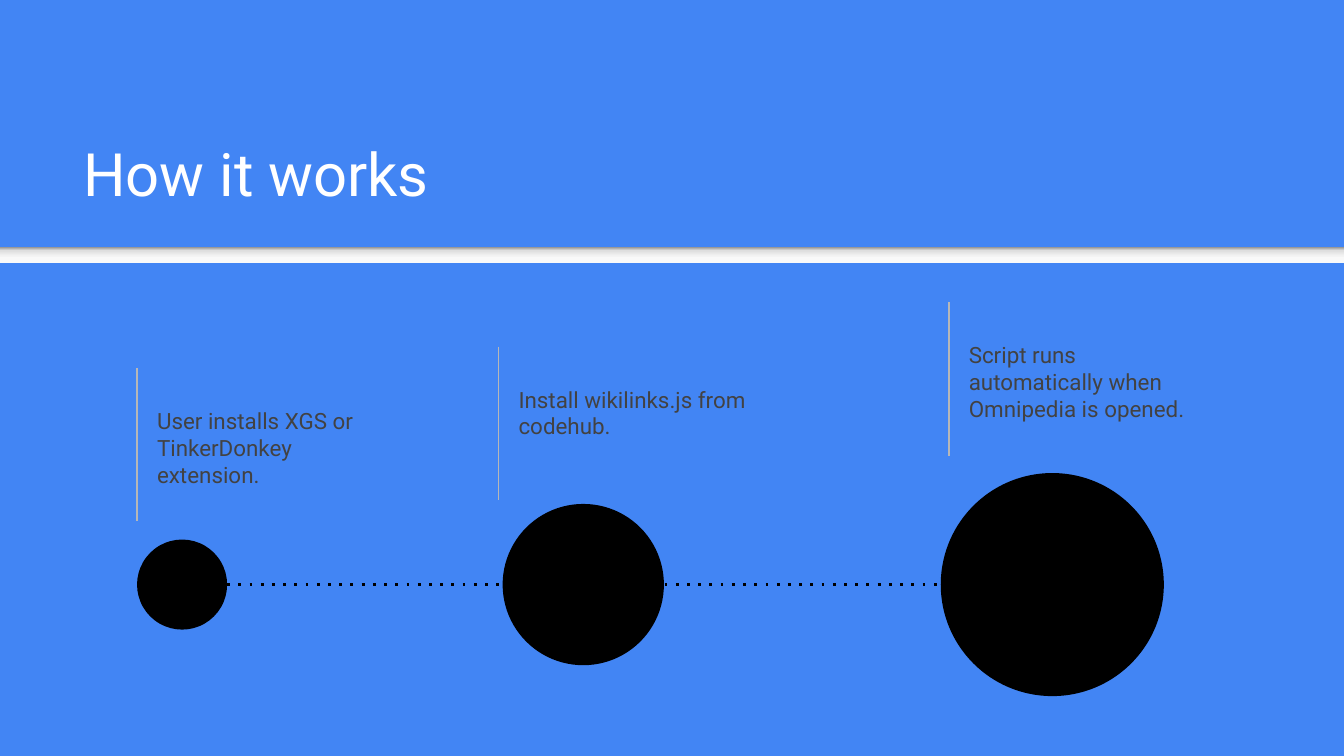
"""Builds the "How it works" slide: three steps as growing circles on a dotted line."""
from lxml.etree import SubElement
from pptx import Presentation
from pptx.dml.color import RGBColor
from pptx.enum.shapes import MSO_CONNECTOR, MSO_SHAPE
from pptx.enum.text import MSO_ANCHOR
from pptx.oxml import parse_xml
from pptx.oxml.ns import nsdecls, qn
from pptx.util import Inches, Pt

BLUE = RGBColor(0x42, 0x85, 0xF4)
WHITE = RGBColor(0xFF, 0xFF, 0xFF)
GREY = RGBColor(0xB7, 0xB7, 0xB7)
DARK = RGBColor(0x42, 0x42, 0x42)
BLACK = RGBColor(0, 0, 0)

TITLE = "How it works"
STEPS = [
    ("User installs XGS or TinkerDonkey extension.", 1.02, 2.74, 1.02, 0.67),
    ("Install wikilinks.js from codehub.", 3.71, 2.58, 3.74, 1.2),
    ("Script runs automatically when Omnipedia is opened.", 7.06, 2.25, 7, 1.66),
]
STOPS = [(0, "F9F9F9"), (36, "F9F9F9"), (80, "DEDEDE"), (100, "999999")]
WIDE = 10
HIGH = WIDE * 9 / 16
AXIS = 4.35
RULE = 1.14


def add_text(slide, text, box, size, color, anchor=MSO_ANCHOR.TOP):
    frame = slide.shapes.add_textbox(*map(Inches, box)).text_frame
    frame.word_wrap = True
    frame.vertical_anchor = anchor
    frame.margin_left = frame.margin_right = Inches(0.1)
    frame.margin_top = frame.margin_bottom = Inches(0.1)
    para = frame.paragraphs[0]
    para.text = text
    para.font.name = "Roboto"
    para.font.size = Pt(size)
    para.font.color.rgb = color


def add_line(slide, ends, color, width, dash=None):
    line = slide.shapes.add_connector(MSO_CONNECTOR.STRAIGHT, *map(Inches, ends))
    line.line.color.rgb = color
    line.line.width = Pt(width)
    if dash:
        SubElement(line.line._get_or_add_ln(), qn("a:prstDash"), val=dash)
    SubElement(line._element.spPr, qn("a:effectLst"))


def add_shape(slide, kind, box):
    shape = slide.shapes.add_shape(kind, *map(Inches, box))
    shape.shadow.inherit = False
    shape.line.fill.background()
    shape.fill.solid()
    shape.fill.fore_color.rgb = BLACK
    return shape


def add_band(slide):
    band = add_shape(slide, MSO_SHAPE.RECTANGLE, (0, 1.84, WIDE, 0.12))
    stops = "".join(
        f'<a:gs pos="{pos * 1000}"><a:srgbClr val="{color}"/></a:gs>'
        for pos, color in STOPS
    )
    grad = parse_xml(
        f'<a:gradFill {nsdecls("a")}><a:gsLst>{stops}</a:gsLst>'
        '<a:lin ang="16200000" scaled="0"/></a:gradFill>'
    )
    props = band._element.spPr
    props.replace(props.find(qn("a:solidFill")), grad)


def main():
    deck = Presentation()
    deck.slide_width, deck.slide_height = Inches(WIDE), Inches(HIGH)
    slide = deck.slides.add_slide(deck.slide_layouts[6])
    slide.background.fill.solid()
    slide.background.fill.fore_color.rgb = BLUE

    add_band(slide)
    add_text(slide, TITLE, (0.52, 0.81, 8.99, 0.84), 32, WHITE, MSO_ANCHOR.BOTTOM)

    for text, left, top, _, _ in STEPS:
        add_line(slide, (left, top, left, top + RULE), GREY, 0.75)
        add_text(slide, text, (left + 0.05, top + 0.19, 1.98, 0.63), 12, DARK)

    start = STEPS[0][3] + STEPS[0][4]
    add_line(slide, (start, AXIS, STEPS[-1][3], AXIS), BLACK, 1.5, "dot")
    for *_, left, size in STEPS:
        add_shape(slide, MSO_SHAPE.OVAL, (left, AXIS - size / 2, size, size))

    deck.save("out.pptx")


if __name__ == "__main__":
    main()
